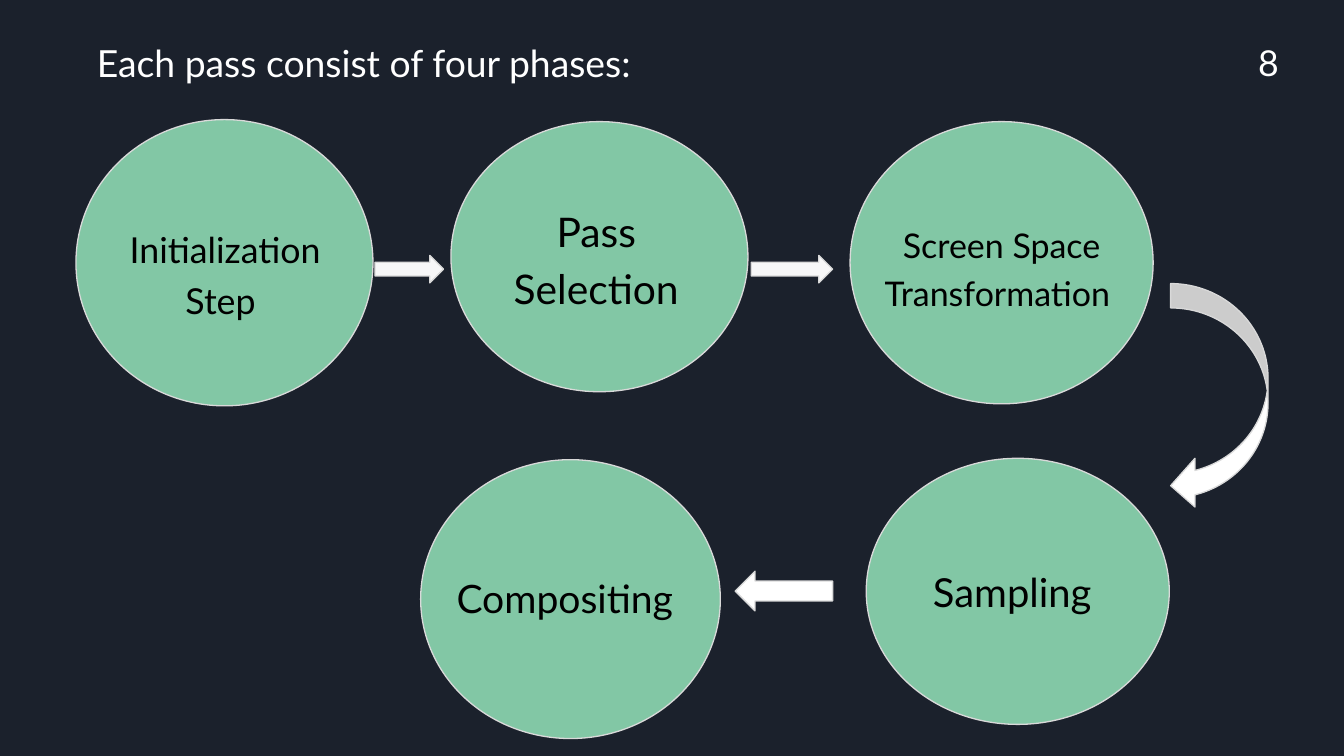
from pptx import Presentation
from pptx.dml.color import RGBColor
from pptx.enum.shapes import MSO_SHAPE
from pptx.enum.text import MSO_ANCHOR, MSO_AUTO_SIZE, PP_ALIGN
from pptx.util import Inches, Pt

NAVY = RGBColor(0x1B, 0x21, 0x2C)
GREEN = RGBColor(0x82, 0xC7, 0xA5)
GREY = RGBColor(0xD9, 0xD9, 0xD9)
PALE = RGBColor(0xF7, 0xF7, 0xF8)
WHITE = RGBColor(0xFF, 0xFF, 0xFF)
BLACK = RGBColor(0, 0, 0)


class Deck:
    font = "Lato"
    leading = 1.4
    edge = Pt(1.4)

    def __init__(self, width, height):
        self.prs = Presentation()
        self.prs.slide_width = Inches(width)
        self.prs.slide_height = Inches(height)
        self.slide = None

    def start(self, color):
        self.slide = self.prs.slides.add_slide(self.prs.slide_layouts[5])
        fill = self.slide.background.fill
        fill.solid()
        fill.fore_color.rgb = color

    def style(self, frame, text, size, color, align):
        frame.word_wrap = True
        frame.auto_size = MSO_AUTO_SIZE.NONE
        frame.vertical_anchor = MSO_ANCHOR.TOP
        frame.margin_left = frame.margin_right = 0
        frame.margin_top = frame.margin_bottom = 0
        frame.text = text
        for para in frame.paragraphs:
            para.alignment = align
            para.line_spacing = Pt(round(size * self.leading, 1))
            para.space_before = Pt(0)
            for run in para.runs:
                run.font.name = self.font
                run.font.size = Pt(size)
                run.font.color.rgb = color

    def title(self, box, text, size, color):
        shape = self.slide.shapes.title
        shape.left, shape.top, shape.width, shape.height = map(Inches, box)
        self.style(shape.text_frame, text, size, color, PP_ALIGN.LEFT)

    def label(self, box, text, size, color):
        shape = self.slide.shapes.add_textbox(*map(Inches, box))
        self.style(shape.text_frame, text, size, color, PP_ALIGN.CENTER)

    def shape(self, kind, box, color):
        shape = self.slide.shapes.add_shape(kind, *map(Inches, box))
        shape.shadow.inherit = False
        shape.fill.solid()
        shape.fill.fore_color.rgb = color
        shape.line.color.rgb = GREY
        shape.line.width = self.edge


# Circle box, label box, label, text size
PHASES = [
    ((1.13, 1.78, 4.42, 4.26), (1.13, 3.29, 4.44, 2.18), "Initialization\nStep ", 38.3),
    ((6.71, 1.81, 4.42, 4.02), (6.73, 2.96, 4.44, 1.65), "Pass \nSelection ", 43.7),
    ((12.65, 1.81, 4.51, 4.2), (12.64, 3.24, 4.53, 1.37), "Screen Space\nTransformation ", 36.4),
    ((12.89, 6.82, 4.51, 3.96), (13.74, 8.33, 2.8, 0.77), "Sampling ", 42.8),
    ((6.26, 6.84, 4.46, 4.15), (6.63, 8.43, 3.7, 0.75), "Compositing ", 41.9),
]

ARROWS = [
    (MSO_SHAPE.RIGHT_ARROW, (5.58, 3.8, 1.02, 0.41), PALE),
    (MSO_SHAPE.RIGHT_ARROW, (11.18, 3.8, 1.21, 0.41), PALE),
    (MSO_SHAPE.CURVED_LEFT_ARROW, (17.42, 4.22, 1.45, 3.37), WHITE),
    (MSO_SHAPE.LEFT_ARROW, (10.94, 8.5, 1.45, 0.59), WHITE),
]


def main():
    deck = Deck(20, 11.25)
    deck.start(NAVY)

    # Heading and page number
    deck.title((1.44, 0.48, 9.49, 0.74), "Each pass consist of four phases:", 40, WHITE)
    deck.label((17.83, 0.5, 2.09, 0.7), "8", 38.2, WHITE)

    # Phases
    for circle, box, text, size in PHASES:
        deck.shape(MSO_SHAPE.OVAL, circle, GREEN)
        deck.label(box, text, size, BLACK)

    # Flow between the phases
    for kind, box, color in ARROWS:
        deck.shape(kind, box, color)

    deck.prs.save("out.pptx")


if __name__ == "__main__":
    main()
